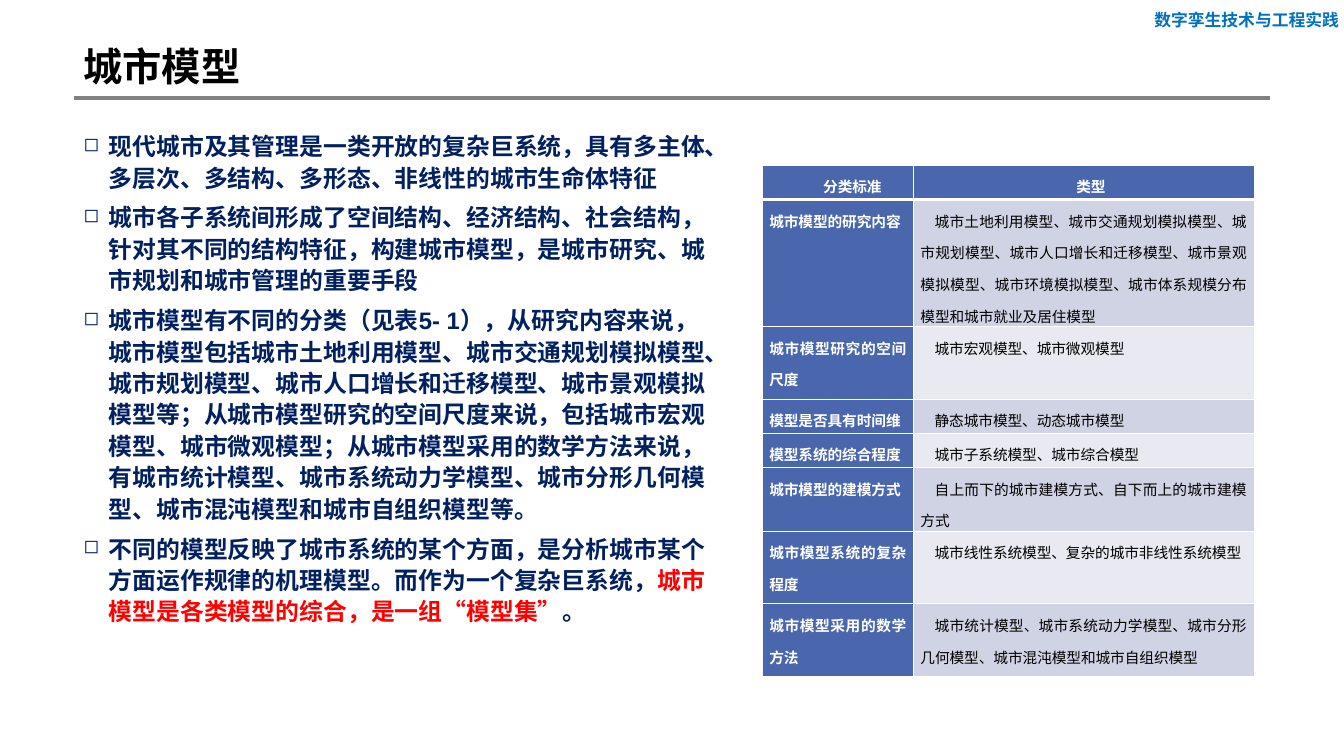
"""Builds the slide on city models: key points on the left, a table of types on the right."""
from lxml import etree
from pptx import Presentation
from pptx.dml.color import RGBColor
from pptx.enum.shapes import MSO_CONNECTOR
from pptx.enum.text import MSO_ANCHOR, MSO_AUTO_SIZE, PP_ALIGN
from pptx.oxml.ns import qn
from pptx.util import Pt

PX = 9144
LINE = MSO_CONNECTOR.STRAIGHT
BOTTOM = MSO_ANCHOR.BOTTOM
GROW, FIXED = MSO_AUTO_SIZE.SHAPE_TO_FIT_TEXT, MSO_AUTO_SIZE.NONE
LEFT, MID, JUST = PP_ALIGN.LEFT, PP_ALIGN.CENTER, PP_ALIGN.JUSTIFY
HAN = "Noto Sans CJK SC"
NAVY, RED, BLUE, WHITE, BLACK = "002060", "FF0000", "4A66AC", "FFFFFF", "000000"


def tint(color):
    return RGBColor.from_string(color)


def write(para, text, size, color, bold=True, face="Arial"):
    run = para.add_run()
    run.text = text
    font = run.font
    font.size, font.bold, font.name = Pt(size), bold, face
    font.color.rgb = tint(color)
    etree.SubElement(run._r.get_or_add_rPr(), qn("a:ea"), typeface=HAN)


deck = Presentation()
deck.slide_width, deck.slide_height = 1333 * PX, 750 * PX
slide = deck.slides.add_slide(deck.slide_layouts[5])
shapes = slide.shapes

title = shapes.title
title.left, title.top, title.width, title.height = 73 * PX, 0, 1187 * PX, 94 * PX
frame = title.text_frame
frame.vertical_anchor, frame.word_wrap, frame.auto_size = BOTTOM, True, FIXED
para = frame.paragraphs[0]
para.alignment, para.line_spacing = LEFT, 0.9
write(para, "城市模型", 28, BLACK, face="Montserrat")

course = shapes.add_textbox(1135 * PX, 5 * PX, 205 * PX, 30 * PX)
frame = course.text_frame
frame.word_wrap, frame.auto_size = False, GROW
write(frame.paragraphs[0], "数字孪生技术与工程实践", 12, "0070C0", face=HAN)

rule = shapes.add_connector(LINE, 73 * PX, 97 * PX, 1260 * PX, 97 * PX)
rule.line.color.rgb = tint("808080")
rule.line.width = Pt(3)
etree.SubElement(rule._element.spPr, qn("a:effectLst"))

points = [
    [("现代城市及其管理是一类开放的复杂巨系统，具有多主体、多层次、多结构、多形态、非线性的城市生命体特征", NAVY)],
    [("城市各子系统间形成了空间结构、经济结构、社会结构，针对其不同的结构特征，构建城市模型，"
      "是城市研究、城市规划和城市管理的重要手段", NAVY)],
    [("城市模型有不同的分类（见表5- 1），从研究内容来说，城市模型包括城市土地利用模型、城市交通规划模拟模型、"
      "城市规划模型、城市人口增长和迁移模型、城市景观模拟模型等；从城市模型研究的空间尺度来说，"
      "包括城市宏观模型、城市微观模型；从城市模型采用的数学方法来说，有城市统计模型、城市系统动力学模型、"
      "城市分形几何模型、城市混沌模型和城市自组织模型等。", NAVY)],
    [("不同的模型反映了城市系统的某个方面，是分析城市某个方面运作规律的机理模型。而作为一个复杂巨系统，", NAVY),
     ("城市模型是各类模型的综合，是一组“模型集”", RED), ("。", NAVY)],
]
body = shapes.add_textbox(73 * PX, 123 * PX, 649 * PX, 549 * PX)
frame = body.text_frame
frame.word_wrap = True
for i, runs in enumerate(points):
    para = frame.add_paragraph() if i else frame.paragraphs[0]
    para.line_spacing = 1.1
    para.space_before = para.space_after = Pt(3)
    props = para._p.get_or_add_pPr()
    props.set("marL", str(25 * PX))
    props.set("indent", str(-25 * PX))
    etree.SubElement(props, qn("a:buSzPct"), val="80000")
    etree.SubElement(props, qn("a:buChar"), char="◻")
    for text, color in runs:
        write(para, text, 17, color)

rows = [
    (34, "分类标准", "类型"),
    (126, "城市模型的研究内容",
     "城市土地利用模型、城市交通规划模拟模型、城市规划模型、城市人口增长和迁移模型、城市景观模拟模型、"
     "城市环境模拟模型、城市体系规模分布模型和城市就业及居住模型"),
    (72, "城市模型研究的空间尺度", "城市宏观模型、城市微观模型"),
    (34, "模型是否具有时间维", "静态城市模型、动态城市模型"),
    (34, "模型系统的综合程度", "城市子系统模型、城市综合模型"),
    (63, "城市模型的建模方式", "自上而下的城市建模方式、自下而上的城市建模方式"),
    (72, "城市模型系统的复杂程度", "城市线性系统模型、复杂的城市非线性系统模型"),
    (72, "城市模型采用的数学方法",
     "城市统计模型、城市系统动力学模型、城市分形几何模型、城市混沌模型和城市自组织模型"),
]
tall = sum(row[0] for row in rows)
table = shapes.add_table(len(rows), 2, 756 * PX, 164 * PX, 488 * PX, tall * PX).table
table.columns[0].width, table.columns[1].width = 150 * PX, 338 * PX
for r, (high, *texts) in enumerate(rows):
    table.rows[r].height = high * PX
    for c, text in enumerate(texts):
        cell = table.cell(r, c)
        head = r == 0 or c == 0
        cell.margin_left = cell.margin_right = 7 * PX
        cell.margin_top = cell.margin_bottom = 0
        para = cell.text_frame.paragraphs[0]
        para.alignment = JUST if r else MID
        para.line_spacing = 1.5
        indent = 14 if c else 0 if r else 29
        para._p.get_or_add_pPr().set("indent", str(indent * PX))
        write(para, text, 10.5, WHITE if head else BLACK, head)
        props = cell._tc.get_or_add_tcPr()
        for side in "LRTB":
            thick = (r, side) in ((0, "B"), (1, "T"))
            edge = etree.SubElement(props, qn("a:ln" + side), w=str(Pt(3 if thick else 1)))
            fill = etree.SubElement(edge, qn("a:solidFill"))
            etree.SubElement(fill, qn("a:srgbClr"), val=WHITE)
        cell.fill.solid()
        cell.fill.fore_color.rgb = tint(BLUE if head else "D0D3E3" if r % 2 else "E9EAF1")

deck.save("out.pptx")
